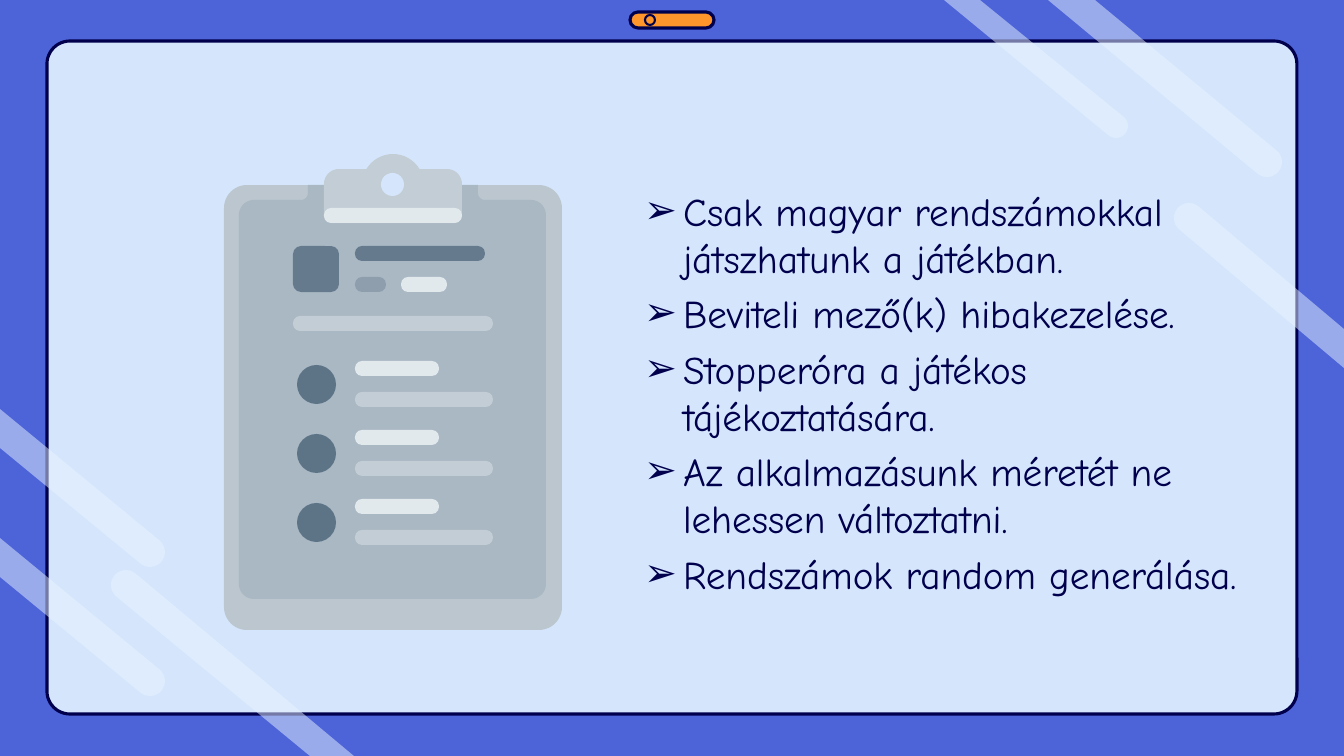
from math import cos, sin, radians
from lxml.etree import SubElement
from pptx import Presentation
from pptx.dml.color import RGBColor as RGB
from pptx.enum.shapes import MSO_SHAPE as Kind
from pptx.enum.text import MSO_ANCHOR as Anchor, MSO_AUTO_SIZE as Auto, PP_ALIGN as Align
from pptx.oxml.ns import qn
from pptx.util import Pt

PX = 12192000 / 1344  # EMU in one px

BLUE = RGB(0x4C, 0x64, 0xD8)
PALE = RGB(0xD5, 0xE6, 0xFC)
NAVY = RGB(0x00, 0x00, 0x4D)
GLARE = RGB(0xE9, 0xF3, 0xFF)
ORANGE = RGB(0xFF, 0x95, 0x2B)
BOARD = RGB(0xBB, 0xC6, 0xCF)
SHEET = RGB(0xAA, 0xB8, 0xC4)
CLIP = RGB(0xC3, 0xCD, 0xD5)
LIGHT = RGB(0xE2, 0xE9, 0xED)
SLATE = RGB(0x65, 0x7A, 0x8D)
DOT = RGB(0x5D, 0x74, 0x87)
GREY = RGB(0x8E, 0x9E, 0xAC)

deck = Presentation()
deck.slide_width, deck.slide_height = round(1344 * PX), round(756 * PX)
slide = deck.slides.add_slide(deck.slide_layouts[0])
slide.background.fill.solid()
slide.background.fill.fore_color.rgb = BLUE
shapes = slide.shapes


def block(kind, box, fill, line=0, radius=None):
    """Add a preset shape; box and radius in px, line in points."""
    item = shapes.add_shape(kind, *[round(v * PX) for v in box])
    item.shadow.inherit = False
    if radius:
        item.adjustments[0] = radius / min(box[2:])
    if fill:
        item.fill.solid()
        item.fill.fore_color.rgb = fill
    else:
        item.fill.background()
    if line:
        item.line.color.rgb = NAVY
        item.line.width = Pt(line)
    else:
        item.line.fill.background()


def outline(parts, fill):
    """Add a closed outline; a part is a point (x, y) or an arc (x, y, r, from, to)."""
    dots = []
    for x, y, *arc in parts:
        if arc:
            r, start, end = arc
            turns = [radians(start + (end - start) * i / 16) for i in range(17)]
            dots += [(x + r * cos(t), y + r * sin(t)) for t in turns]
        else:
            dots.append((x, y))
    dots = [(round(x * PX), round(y * PX)) for x, y in dots]
    pen = shapes.build_freeform(*dots[0])
    pen.add_line_segments(dots[1:])
    item = pen.convert_to_shape()
    item.shadow.inherit = False
    item.fill.solid()
    item.fill.fore_color.rgb = fill
    item.line.fill.background()
    return item


# Panel
block(Kind.ROUNDED_RECTANGLE, (47, 41, 1250, 673), PALE, 2.25, 23)

# Glare streaks: first edge point, cap centre, cap radius, heading, last edge point
for first, x, y, r, turn, last in [
    ((1095, 0), 1267, 162, 15, 40, (1048, 0)),
    ((980, 0), 1116, 126, 12, 40, (944, 0)),
    ((310, 756), 126, 585, 15, 220, (354, 756)),
    ((0, 538), 150, 681, 15, 40, (0, 577)),
    ((0, 409), 150, 552, 15, 40, (0, 448)),
    ((1344, 368), 1189, 218, 15, 220, (1344, 329)),
]:
    streak = outline([first, (x, y, r, turn - 90, turn + 90), last], GLARE)
    tint = streak.fill._xPr.find(qn("a:solidFill"))[0]
    SubElement(tint, qn("a:alpha"), val="50000")

# Camera pill
block(Kind.ROUNDED_RECTANGLE, (630, 12, 84, 16), ORANGE, 2.25, 8)
block(Kind.OVAL, (645, 15, 10, 10), None, 1.5)

# Bullet list
title, body = slide.placeholders
title._element.getparent().remove(title._element)
body._element.getparent().append(body._element)
for name, size in {"left": 631, "top": 154, "width": 637, "height": 476}.items():
    setattr(body, name, round(size * PX))
frame = body.text_frame
for name, value in {
    "word_wrap": True, "auto_size": Auto.NONE, "vertical_anchor": Anchor.MIDDLE,
    **{f"margin_{side}": round(13 * PX) for side in ("left", "top", "right", "bottom")},
}.items():
    setattr(frame, name, value)
frame.text = "\n".join([
    "Csak magyar rendszámokkal játszhatunk a játékban.",
    "Beviteli mező(k) hibakezelése.",
    "Stopperóra a játékos tájékoztatására.",
    "Az alkalmazásunk méretét ne lehessen változtatni.",
    "Rendszámok random generálása.",
])
look = {"alignment": Align.LEFT, "space_before": Pt(0), "space_after": Pt(6), "line_spacing": 1.0}
for para in frame.paragraphs:
    for name, value in look.items():
        setattr(para, name, value)
    props = para._p.get_or_add_pPr()
    props.set("marL", str(round(39 * PX)))
    props.set("indent", str(round(-39 * PX)))
    tone = SubElement(props, qn("a:buClr"))
    SubElement(tone, qn("a:srgbClr"), val=str(NAVY))
    SubElement(props, qn("a:buFont"), typeface="Comic Neue")
    SubElement(props, qn("a:buChar"), char="➢")
    font = para.runs[0].font
    font.name, font.size, font.color.rgb = "Comic Neue", Pt(28), NAVY

# Clipboard: board, sheet, clip and its hole
block(Kind.ROUNDED_RECTANGLE, (224, 185, 338, 445), BOARD, 0, 23)
outline([
    (308, 185), (301, 193, 7, 0, 90),
    (254, 215, 15, 270, 180), (254, 584, 15, 180, 90),
    (531, 584, 15, 90, 0), (531, 215, 15, 0, -90),
    (485, 193, 7, 90, 180), (478, 185),
], SHEET)
outline([
    (339, 184, 15, 180, 270), (393, 185, 31, 211, 329), (447, 184, 15, 270, 360),
    (454, 215, 8, 0, 90), (332, 215, 8, 90, 180),
], CLIP)
block(Kind.OVAL, (381, 173, 23, 23), PALE)

# Sheet header: photo and bars
block(Kind.ROUNDED_RECTANGLE, (293, 246, 46, 46), SLATE, 0, 8)
bars = [
    (324, 208, 138, LIGHT), (355, 246, 130, SLATE), (355, 277, 31, GREY),
    (401, 277, 46, LIGHT), (293, 316, 200, CLIP),
]

# Three rows: dot, short bar, long bar
for row in range(3):
    y = 361 + 69 * row
    block(Kind.OVAL, (297, y + 4, 39, 39), DOT)
    bars += [(355, y, 84, LIGHT), (355, y + 31, 138, CLIP)]
for x, y, wide, fill in bars:
    block(Kind.ROUNDED_RECTANGLE, (x, y, wide, 15), fill, 0, 7)

deck.save("out.pptx")
